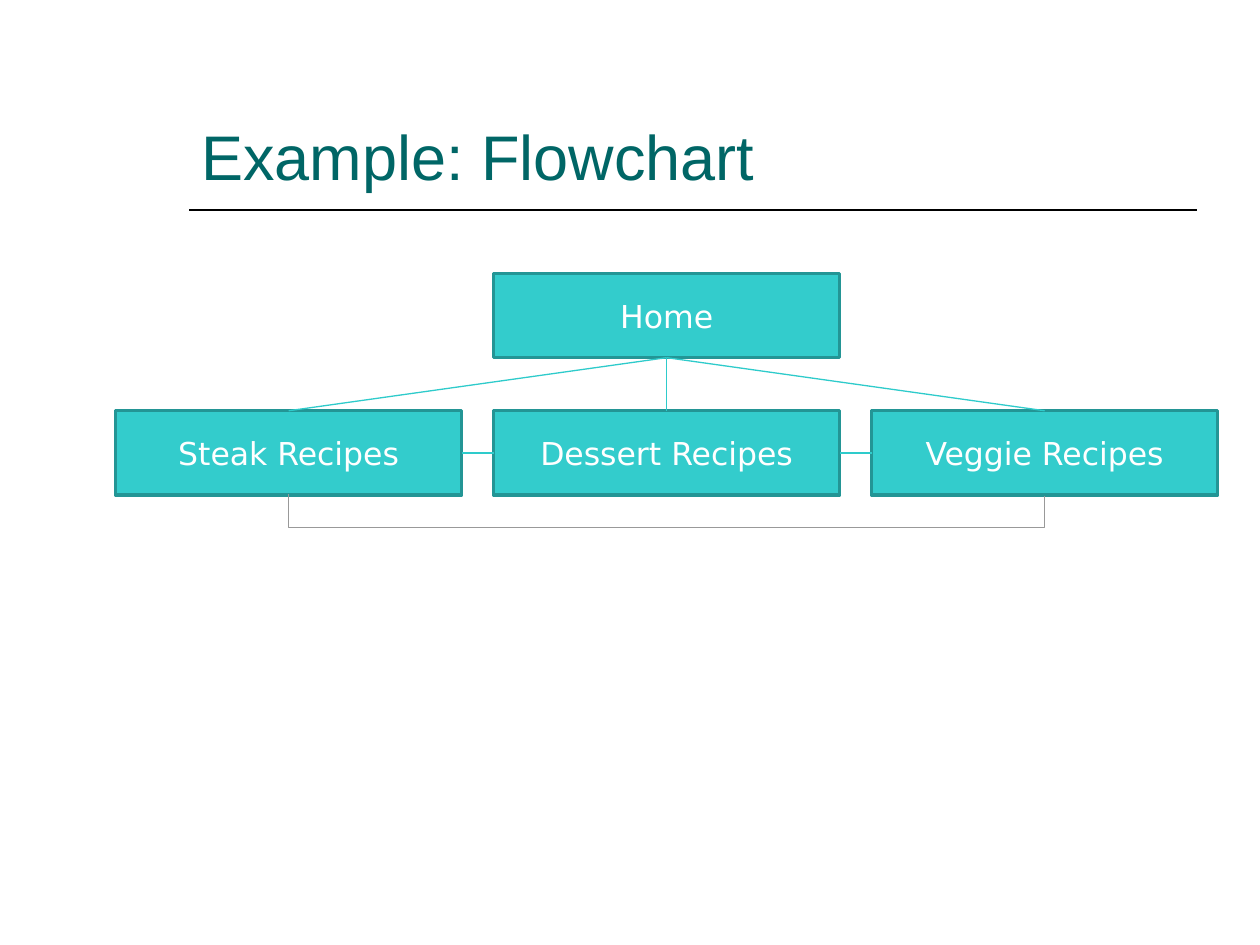
"""Build a slide with a flowchart of a recipe site."""
from dataclasses import dataclass

from lxml.etree import SubElement
from pptx import Presentation
from pptx.dml.color import RGBColor
from pptx.enum.shapes import MSO_CONNECTOR, MSO_SHAPE
from pptx.enum.text import MSO_ANCHOR, PP_ALIGN
from pptx.oxml.ns import qn
from pptx.shapes.autoshape import Shape
from pptx.shapes.connector import Connector
from pptx.slide import Slide
from pptx.util import Cm, Pt

COLORS = {
    "title": "006666",
    "rule": "000000",
    "box": "33CCCC",
    "border": "239595",
    "link": "2ECBCB",
    "loop": "999999",
    "text": "FFFFFF",
}
BOX_W, BOX_H = 6.98, 1.7
LEFT, PITCH = 2.33, 7.62
HOME_TOP, PAGE_TOP = 5.51, 8.28
LOOP_SKEW, LOOP_DROP = 0.03, 0.67
TOP_SITE, LEFT_SITE, BOTTOM_SITE, RIGHT_SITE = range(4)


@dataclass(frozen=True)
class Page:
    """A page of the site and its place in the chart."""
    label: str
    column: int
    top: float

    @property
    def left(self) -> float:
        """Return the left edge in centimetres."""
        return LEFT + self.column * PITCH


HOME = Page("Home", 1, HOME_TOP)
RECIPES = [
    Page(label, column, PAGE_TOP)
    for column, label in enumerate(["Steak Recipes", "Dessert Recipes", "Veggie Recipes"])
]


def color(name: str) -> RGBColor:
    """Look up a named colour."""
    return RGBColor.from_string(COLORS[name])


def set_text(s: Shape, text: str, font: str, size: float, name: str) -> None:
    """Write one formatted line of text into a shape."""
    tf = s.text_frame
    tf.text = text
    tf.word_wrap = True
    r = tf.paragraphs[0].runs[0]
    r.font.name = font
    r.font.size = Pt(size)
    r.font.color.rgb = color(name)


def add_title(slide: Slide, text: str) -> None:
    """Add the slide title."""
    s = slide.shapes.add_textbox(Cm(3.81), Cm(0.85), Cm(20.32), Cm(3.17))
    set_text(s, text, "Arial", 36, "title")
    s.text_frame.vertical_anchor = MSO_ANCHOR.BOTTOM


def add_page(slide: Slide, page: Page) -> Shape:
    """Add the box of one page."""
    s = slide.shapes.add_shape(
        MSO_SHAPE.RECTANGLE, Cm(page.left), Cm(page.top), Cm(BOX_W), Cm(BOX_H))
    s.shadow.inherit = False
    s.fill.solid()
    s.fill.fore_color.rgb = color("box")
    s.line.color.rgb = color("border")
    s.line.width = Pt(2)
    set_text(s, page.label, "DejaVu Sans", 18, "text")
    s.text_frame.vertical_anchor = MSO_ANCHOR.MIDDLE
    s.text_frame.paragraphs[0].alignment = PP_ALIGN.CENTER
    return s


def style_line(line: Connector, name: str, width: float) -> None:
    """Set the colour and width of a line and drop its shadow."""
    line.line.color.rgb = color(name)
    line.line.width = Pt(width)
    SubElement(line._element.spPr, qn("a:effectLst"))


def add_rule(slide: Slide) -> None:
    """Add the rule under the title."""
    rule = slide.shapes.add_connector(
        MSO_CONNECTOR.STRAIGHT, Cm(3.81), Cm(4.24), Cm(24.13), Cm(4.24))
    style_line(rule, "rule", 1)


def add_link(slide: Slide, start: Shape, start_site: int, end: Shape, end_site: int) -> None:
    """Join two boxes with a straight line."""
    link = slide.shapes.add_connector(MSO_CONNECTOR.STRAIGHT, 0, 0, 0, 0)
    link.begin_connect(start, start_site)
    link.end_connect(end, end_site)
    style_line(link, "link", 0.75)


def add_loop(slide: Slide, start: Page, end: Page) -> None:
    """Join the bottoms of two boxes with an elbow line that dips below them."""
    span = end.left - start.left
    middle = (start.left + end.left + BOX_W) / 2
    bottom = start.top + BOX_H
    x, y = middle - LOOP_SKEW / 2, bottom - span / 2
    loop = slide.shapes.add_connector(
        MSO_CONNECTOR.ELBOW, Cm(x + LOOP_SKEW), Cm(y), Cm(x), Cm(y + span))
    sp_pr = loop._element.spPr
    sp_pr.find(qn("a:xfrm")).set("rot", str(270 * 60000))
    guides = sp_pr.find(qn("a:prstGeom")).get_or_add_avLst()
    ratio = round(LOOP_DROP / LOOP_SKEW * 100000)
    SubElement(guides, qn("a:gd"), name="adj1", fmla=f"val {ratio}")
    style_line(loop, "loop", 0.5)


def main() -> None:
    """Build and save the presentation."""
    prs = Presentation()
    prs.slide_width, prs.slide_height = Cm(25.4), Cm(19.05)
    slide = prs.slides.add_slide(prs.slide_layouts[6])
    add_rule(slide)
    add_title(slide, "Example: Flowchart")
    home = add_page(slide, HOME)
    boxes = [add_page(slide, page) for page in RECIPES]
    for box in boxes:
        add_link(slide, home, BOTTOM_SITE, box, TOP_SITE)
    for box, neighbour in zip(boxes, boxes[1:]):
        add_link(slide, box, RIGHT_SITE, neighbour, LEFT_SITE)
    add_loop(slide, RECIPES[0], RECIPES[-1])
    prs.save("out.pptx")


main()
